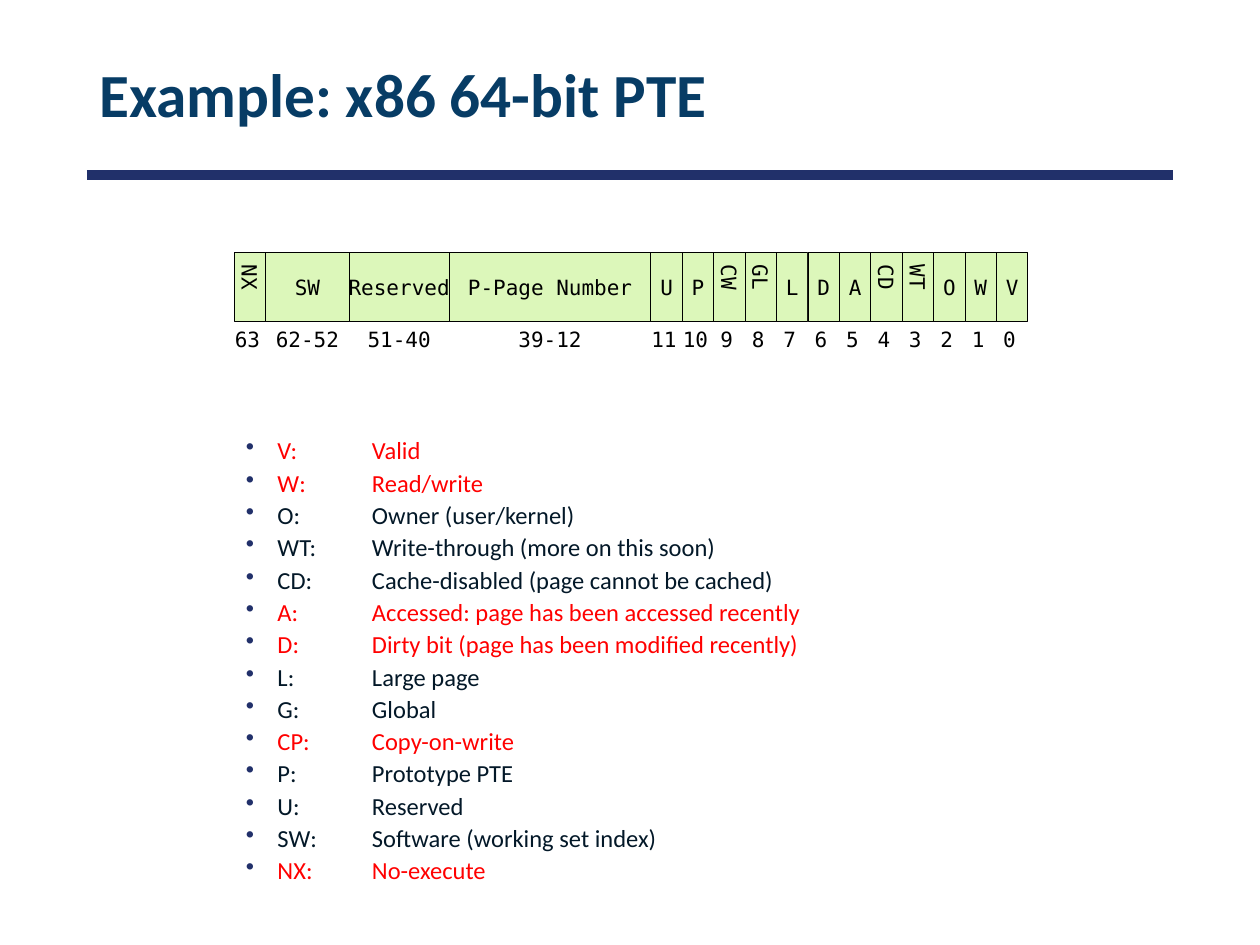
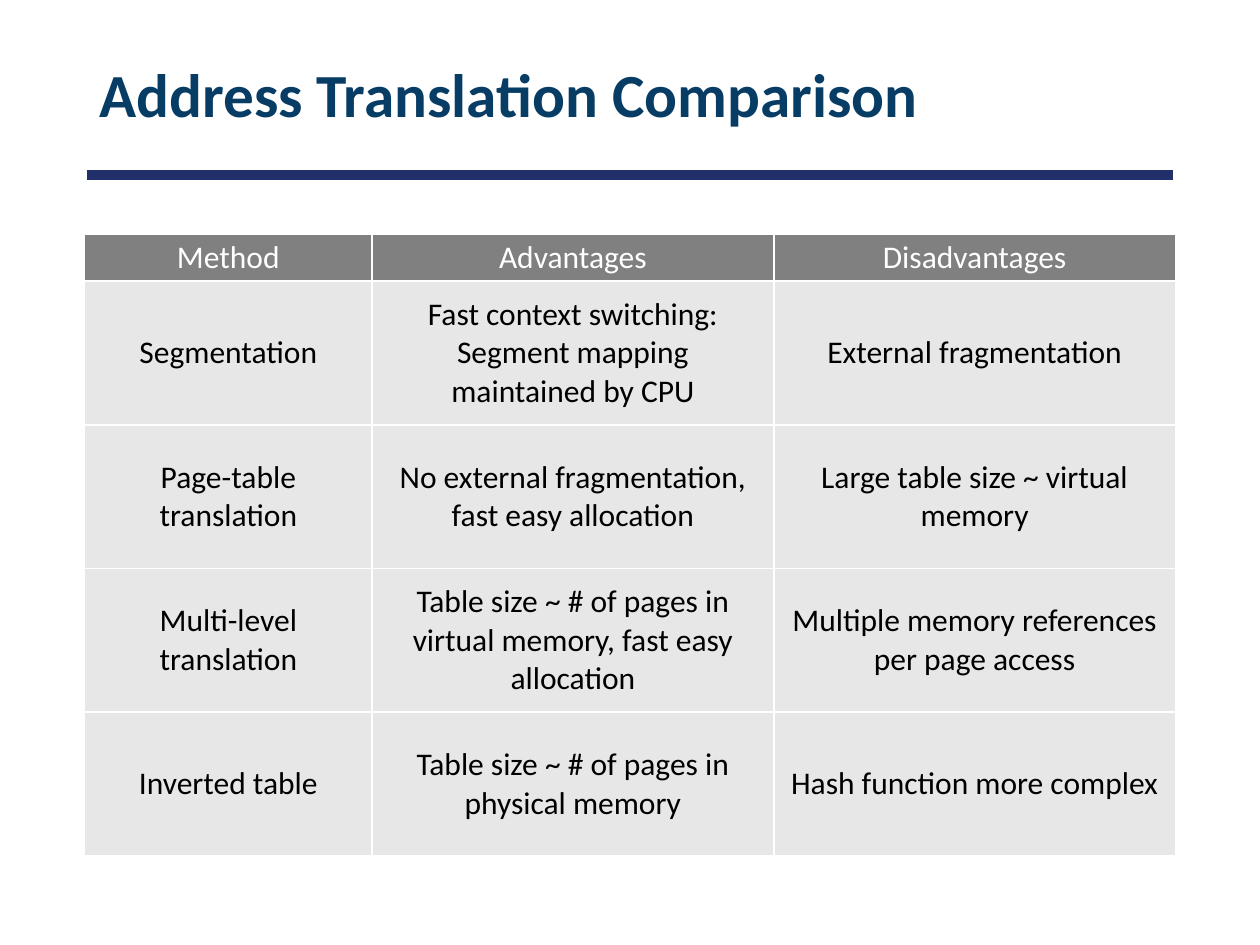
from lxml import etree
from pptx import Presentation
from pptx.dml.color import RGBColor
from pptx.enum import shapes, text
from pptx.oxml import ns
from pptx.util import Pt

NAVY = RGBColor(0x21, 0x30, 0x6A)
TITLE_BLUE = RGBColor(0x07, 0x3C, 0x65)
INK = RGBColor(0x03, 0x18, 0x28)
RED = RGBColor(0xFF, 0x00, 0x00)
GREEN = RGBColor(0xDC, 0xF7, 0xBA)
BLACK = RGBColor(0x00, 0x00, 0x00)
WHITE = RGBColor(0xFF, 0xFF, 0xFF)
HEADER_GREY = RGBColor(0x80, 0x80, 0x80)
BODY_GREY = RGBColor(0xE7, 0xE7, 0xE7)
SANS = "Calibri"
MONO = "DejaVu Sans Mono"

BIT = 17.95
DIGIT = 7.4
PTE_LEFT, PTE_TOP, PTE_HEIGHT = 133.9, 144, 39.6
PTE_FIELDS = [
    ("NX", "63", BIT), ("SW", "62-52", 47.7), ("Reserved", "51-40", 57.2),
    ("P-Page Number", "39-12", 115.2), ("U", "11", BIT), ("P", "10", BIT),
    ("CW", "9", BIT), ("GL", "8", BIT), ("L", "7", BIT), ("D", "6", BIT),
    ("A", "5", BIT), ("CD", "4", BIT), ("WT", "3", BIT), ("O", "2", BIT),
    ("W", "1", BIT), ("V", "0", BIT),
]
FLAGS = [
    ("V", "Valid", RED),
    ("W", "Read/write", RED),
    ("O", "Owner (user/kernel)", INK),
    ("WT", "Write-through (more on this soon)", INK),
    ("CD", "Cache-disabled (page cannot be cached)", INK),
    ("A", "Accessed: page has been accessed recently", RED),
    ("D", "Dirty bit (page has been modified recently)", RED),
    ("L", "Large page", INK),
    ("G", "Global", INK),
    ("CP", "Copy-on-write", RED),
    ("P", "Prototype PTE", INK),
    ("U", "Reserved", INK),
    ("SW", "Software (working set index)", INK),
    ("NX", "No-execute", RED),
]
COMPARISON = [
    ("Method", "Advantages", "Disadvantages"),
    ("Segmentation",
     "Fast context switching: Segment mapping maintained by CPU",
     "External fragmentation"),
    ("Page-table translation",
     "No external fragmentation, fast easy allocation",
     "Large table size ~ virtual memory"),
    ("Multi-level translation",
     "Table size ~ # of pages in virtual memory, fast easy allocation",
     "Multiple memory references per page access"),
    ("Inverted table",
     "Table size ~ # of pages in physical memory",
     "Hash function more complex"),
]


def add_xml(parent, tag, **attributes):
    """Append a DrawingML element and return it."""
    return etree.SubElement(parent, ns.qn(tag), attributes)


def style(paragraph, font_name, size, color, bold=False):
    """Set the font of a whole paragraph."""
    font = paragraph.font
    font.name, font.size, font.bold = font_name, Pt(size), bold
    font.color.rgb = color


def add_text_box(slide, left, top, width, height, wrap=True):
    """Add an empty text box and return its text frame."""
    frame = slide.shapes.add_textbox(Pt(left), Pt(top), Pt(width), Pt(height)).text_frame
    frame.word_wrap = wrap
    return frame


def write_centered(frame, words, font_name, size, color):
    """Write one centred paragraph, anchored in the middle."""
    frame.vertical_anchor = text.MSO_ANCHOR.MIDDLE
    paragraph = frame.paragraphs[0]
    paragraph.text = words
    paragraph.alignment = text.PP_ALIGN.CENTER
    style(paragraph, font_name, size, color)


def add_titled_slide(deck, title):
    """Add a blank slide with the shared title and rule."""
    slide = deck.slides.add_slide(deck.slide_layouts[6])
    rule = slide.shapes.add_connector(
        shapes.MSO_CONNECTOR.STRAIGHT, Pt(49.7), Pt(100), Pt(670.3), Pt(100))
    rule.line.color.rgb = NAVY
    rule.line.width = Pt(6)
    add_xml(rule.element.spPr, "a:effectLst")
    frame = add_text_box(slide, 49.7, 16.6, 620.6, 77.8)
    frame.vertical_anchor = text.MSO_ANCHOR.MIDDLE
    heading = frame.paragraphs[0]
    heading.text = title
    heading.line_spacing = 0.9
    style(heading, SANS, 35, TITLE_BLUE, bold=True)
    return slide


def add_field(slide, name, bits, left, width):
    """Draw one PTE field with its bit range below."""
    field = slide.shapes.add_shape(
        shapes.MSO_SHAPE.RECTANGLE, Pt(left), Pt(PTE_TOP), Pt(width), Pt(PTE_HEIGHT))
    field.shadow.inherit = False
    field.fill.solid()
    field.fill.fore_color.rgb = GREEN
    field.line.color.rgb = BLACK
    field.line.width = Pt(0.5)
    field.text_frame.word_wrap = False
    write_centered(field.text_frame, name, MONO, 12, BLACK)
    if width == BIT and len(name) > 1:
        field.element.txBody.find(ns.qn("a:bodyPr")).set("vert", "eaVert")
    label_width = DIGIT * len(bits) + 2
    label_left = left + (width - label_width) / 2 - (1.5 if width == BIT else 0)
    bit_range = add_text_box(
        slide, label_left, PTE_TOP + PTE_HEIGHT, label_width, 20, wrap=False)
    bit_range.margin_left = bit_range.margin_right = 0
    write_centered(bit_range, bits, MONO, 12, BLACK)


def add_pte(slide):
    """Lay the PTE fields side by side."""
    left = PTE_LEFT
    for name, bits, width in PTE_FIELDS:
        add_field(slide, name, bits, left, width)
        left += width


def add_flag_list(slide):
    """List the PTE flags with bullets and a tab column."""
    frame = add_text_box(slide, 133.5, 245.3, 378.7, 270)
    for index, (flag, meaning, color) in enumerate(FLAGS):
        entry = frame.add_paragraph() if index else frame.paragraphs[0]
        entry.text = f"{flag}:\t{meaning}"
        entry.space_before = Pt(1.65 if index else 0)
        properties = entry._p.get_or_add_pPr()
        properties.set("marL", str(Pt(18)))
        properties.set("indent", str(Pt(-18)))
        bullet_color = add_xml(properties, "a:buClr")
        add_xml(bullet_color, "a:srgbClr", val=str(NAVY))
        add_xml(properties, "a:buChar", char="•")
        tabs = add_xml(properties, "a:tabLst")
        add_xml(tabs, "a:tab", pos=str(Pt(72)), algn="l")
        style(entry, SANS, 14, color)


def style_cell(cell, words, fill, color):
    """Fill, border and write one table cell."""
    cell.margin_left = cell.margin_right = Pt(5.8)
    cell.margin_top = cell.margin_bottom = Pt(2.2)
    properties = cell._tc.get_or_add_tcPr()
    for side in ("a:lnL", "a:lnR", "a:lnT", "a:lnB"):
        border = add_xml(properties, side, w=str(Pt(1)))
        add_xml(add_xml(border, "a:solidFill"), "a:srgbClr", val=str(WHITE))
    cell.fill.solid()
    cell.fill.fore_color.rgb = fill
    write_centered(cell.text_frame, words, SANS, 18, color)
    cell.vertical_anchor = text.MSO_ANCHOR.MIDDLE


def add_comparison(slide):
    """Add the table of address translation methods."""
    table = slide.shapes.add_table(
        len(COMPARISON), 3, Pt(48.4), Pt(134.1), Pt(623.4), Pt(355)).table
    for column, width in zip(table.columns, (164.2, 229.6, 229.6)):
        column.width = Pt(width)
    for index, methods in enumerate(COMPARISON):
        table.rows[index].height = Pt(82.1 if index else 26.6)
        fill, color = (BODY_GREY, BLACK) if index else (HEADER_GREY, WHITE)
        for cell, words in zip(table.rows[index].cells, methods):
            style_cell(cell, words, fill, color)


def main():
    """Build both slides and save the deck."""
    deck = Presentation()
    deck.slide_width, deck.slide_height = Pt(720), Pt(540)
    pte_slide = add_titled_slide(deck, "Example: x86 64-bit PTE")
    add_flag_list(pte_slide)
    add_pte(pte_slide)
    add_comparison(add_titled_slide(deck, "Address Translation Comparison"))
    deck.save("out.pptx")


if __name__ == "__main__":
    main()
